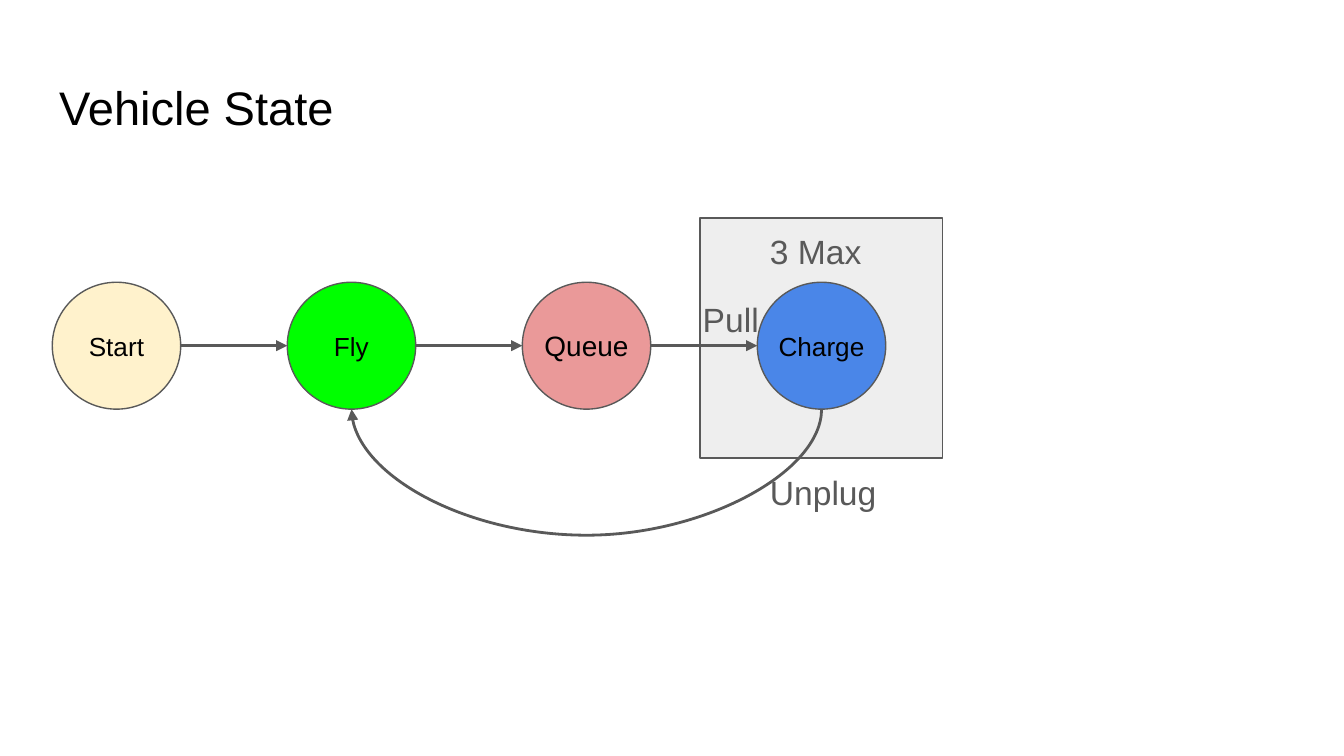
from dataclasses import dataclass

from lxml import etree
from pptx import Presentation
from pptx.dml.color import RGBColor
from pptx.enum.shapes import MSO_CONNECTOR, MSO_SHAPE
from pptx.enum.text import MSO_ANCHOR, MSO_AUTO_SIZE, PP_ALIGN
from pptx.oxml.ns import qn
from pptx.util import Pt

LINE, CURVE = MSO_CONNECTOR.STRAIGHT, MSO_CONNECTOR.CURVE
RECT, OVAL = MSO_SHAPE.RECTANGLE, MSO_SHAPE.OVAL
TOP, MID = MSO_ANCHOR.TOP, MSO_ANCHOR.MIDDLE
LEFT, MIDDLE = PP_ALIGN.LEFT, PP_ALIGN.CENTER
FIXED = MSO_AUTO_SIZE.NONE


@dataclass
class Theme:
    font: str = "Arial"
    ink: str = "000000"
    gray: str = "595959"
    panel: str = "EEEEEE"
    start: str = "FFF2CC"
    fly: str = "00FF00"
    queue: str = "EA9999"
    charge: str = "4A86E8"
    title: float = 25.2
    label: float = 18
    state: float = 14
    wide: float = 15


theme = Theme()


def write(shape, text, size=theme.label, color=theme.gray, align=LEFT,
          anchor=TOP, inset=7.2):
    frame = shape.text_frame
    frame.word_wrap = True
    frame.auto_size = FIXED
    frame.vertical_anchor = anchor
    frame.margin_left = frame.margin_right = Pt(inset)
    frame.margin_top = frame.margin_bottom = Pt(inset)
    para = frame.paragraphs[0]
    para.alignment = align
    run = para.add_run()
    run.text = text
    run.font.name = theme.font
    run.font.size = Pt(size)
    run.font.color.rgb = RGBColor.from_string(color)


def link(kind, ends, box):
    """Draw an arrow between two (shape, site) ends."""
    arrow = slide.shapes.add_connector(kind, *map(Pt, box))
    arrow.line.color.rgb = RGBColor.from_string(theme.gray)
    arrow.line.width = Pt(1.5)
    props = arrow._element.spPr
    etree.SubElement(props.find(qn("a:ln")), qn("a:tailEnd"), type="triangle")
    etree.SubElement(props, qn("a:effectLst"))
    glue = arrow._element.find(".//" + qn("p:cNvCxnSpPr"))
    for tag, (shape, site) in zip(("a:stCxn", "a:endCxn"), ends):
        etree.SubElement(glue, qn(tag), id=str(shape.shape_id), idx=str(site))
    return props


deck = Presentation()
deck.slide_width, deck.slide_height = Pt(720), Pt(405)
slide = deck.slides.add_slide(deck.slide_layouts[5])

# Title
title = slide.shapes.title
title.left, title.top, title.width, title.height = map(Pt, (24.5, 35, 671, 45))
write(title, "Vehicle State", size=theme.title, color=theme.ink)

# Charging panel, then the row of states
x, y, wide, high, step = 28, 151.2, 68.8, 68, 125.9
items = [
    (RECT, (374.9, 116.8, 129.9, 128.7), theme.panel, None, 0, 0),
    (OVAL, None, theme.start, "Start", theme.state, 7.2),
    (OVAL, None, theme.fly, "Fly", theme.state, 7.2),
    (OVAL, None, theme.queue, "Queue", theme.wide, 0),
    (OVAL, None, theme.charge, "Charge", theme.state, 0),
]
states = []
for kind, box, fill, name, size, inset in items:
    box = box or (x + len(states) * step, y, wide, high)
    shape = slide.shapes.add_shape(kind, *map(Pt, box))
    shape.shadow.inherit = False
    shape.fill.solid()
    shape.fill.fore_color.rgb = RGBColor.from_string(fill)
    shape.line.color.rgb = RGBColor.from_string(theme.gray)
    shape.line.width = Pt(0.75)
    if name:
        write(shape, name, size=size, color=theme.ink, align=MIDDLE,
              anchor=MID, inset=inset)
        states.append(shape)

# Arrows from each state to the next
mid = y + high / 2
for i, (a, b) in enumerate(zip(states, states[1:])):
    edge = x + i * step + wide
    link(LINE, ((a, 6), (b, 2)), (edge, mid, edge + step - wide, mid))

# Return curve from Charge to Fly: a thin upright box turned a quarter
thin, depth = 0.05, 59.6
span, base = 2 * step, y + high
axis = x + wide / 2 + 2 * step
props = link(CURVE, ((states[3], 4), (states[1], 4)),
             (axis, base - span / 2, axis + thin, base + span / 2))
props.find(qn("a:xfrm")).set("rot", "5400000")
bend = round(depth / thin * 100000)
etree.SubElement(props.find(".//" + qn("a:avLst")), qn("a:gd"),
                 name="adj1", fmla=f"val {bend}")

# Labels
for text, left, top, width in (("3 Max", 405.4, 116.8, 69),
                               ("Unplug", 405.4, 245.6, 77),
                               ("Pull", 369.4, 153.2, 77)):
    label = slide.shapes.add_textbox(Pt(left), Pt(top), Pt(width), Pt(36))
    write(label, text)

deck.save("out.pptx")
